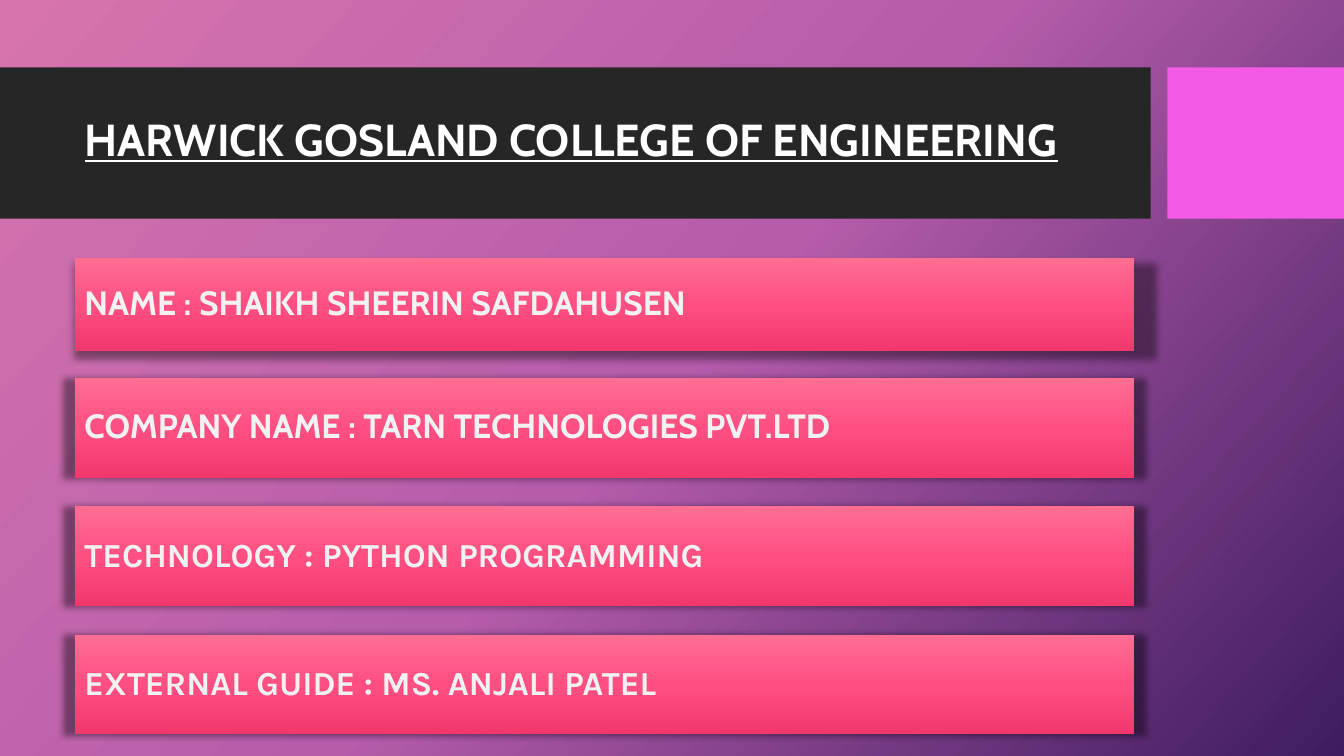
from copy import deepcopy

from lxml import etree
from pptx import Presentation
from pptx.dml.color import RGBColor
from pptx.enum.shapes import MSO_SHAPE
from pptx.enum.text import MSO_ANCHOR, MSO_AUTO_SIZE, PP_ALIGN
from pptx.oxml.ns import qn
from pptx.util import Cm, Pt

RECTANGLE = MSO_SHAPE.RECTANGLE
MIDDLE = MSO_ANCHOR.MIDDLE
NO_AUTOFIT = MSO_AUTO_SIZE.NONE
LEFT, JUSTIFY = PP_ALIGN.LEFT, PP_ALIGN.JUSTIFY

WHITE = RGBColor(0xFF, 0xFF, 0xFF)
OFF_WHITE = RGBColor(0xF2, 0xF2, 0xF2)
CHARCOAL = RGBColor(0x26, 0x26, 0x26)
MAGENTA = RGBColor(0xF3, 0x5A, 0xE6)
BACKGROUND = (RGBColor(0xD7, 0x74, 0xAD), RGBColor(0xB5, 0x5C, 0xAB),
              RGBColor(0x3E, 0x1C, 0x5F))
BAR = (RGBColor(0xFE, 0x6E, 0x93), RGBColor(0xFF, 0x4F, 0x82),
       RGBColor(0xF1, 0x38, 0x6D))

DETAILS = (
    ("NAME : SHAIKH SHEERIN SAFDAHUSEN", "Cabin"),
    ("COMPANY NAME : TARN TECHNOLOGIES PVT.LTD", "Cabin"),
    ("TECHNOLOGY : PYTHON PROGRAMMING", "Karla"),
    ("EXTERNAL GUIDE : MS. ANJALI PATEL", "Karla"),
)


def fill_gradient(fill, element, colors, angle):
    """Fill with three evenly spaced colours at a clockwise angle."""
    fill.gradient()
    fill.gradient_angle = 360 - angle
    stop_list = element.find(".//" + qn("a:gsLst"))
    stop_list.append(deepcopy(stop_list[-1]))
    for index, (stop, color) in enumerate(zip(fill.gradient_stops, colors)):
        stop.position = index / 2
        stop.color.rgb = color


def add_shadow(shape, anchor, drop):
    """Give the shape a soft black shadow slightly wider than itself."""
    shape.shadow.inherit = False
    effects = shape.element.spPr.find(qn("a:effectLst"))
    shadow = etree.SubElement(
        effects, qn("a:outerShdw"), blurRad=str(Pt(5)), dist=str(drop),
        dir="5400000", sx="102000", sy="102000", algn=anchor, rotWithShape="0")
    color = etree.SubElement(shadow, qn("a:srgbClr"), val="000000")
    etree.SubElement(color, qn("a:alpha"), val="40000")


def write_line(shape, text, font_name, size, color, alignment):
    """Write one bold, vertically centred line and return its span."""
    frame = shape.text_frame
    frame.text = text
    frame.word_wrap = True
    frame.auto_size = NO_AUTOFIT
    frame.vertical_anchor = MIDDLE
    para = frame.paragraphs[0]
    para.alignment = alignment
    para.line_spacing = 0.9
    span = para.runs[0]
    span.font.name = font_name
    span.font.size = size
    span.font.bold = True
    span.font.color.rgb = color
    return span


def add_header(page, left, top, width, height):
    """Place the dark title band and its accent block across the page."""
    title = page.shapes.title
    gap, accent_width = Cm(0.42), Cm(4.45)
    band_width = width - gap - accent_width
    blocks = ((left, band_width, CHARCOAL),
              (left + band_width + gap, accent_width, MAGENTA))
    for block_left, block_width, color in blocks:
        block = page.shapes.add_shape(RECTANGLE, block_left, top, block_width, height)
        block.shadow.inherit = False
        block.fill.solid()
        block.fill.fore_color.rgb = color
        block.line.fill.background()
        title.element.addprevious(block.element)
    title.left, title.top = left + Cm(1.88), top + Cm(0.38)
    title.width, title.height = Cm(26.7), Cm(3)
    span = write_line(title, "HARWICK GOSLAND COLLEGE OF ENGINEERING",
                      "Cabin", Pt(32), WHITE, LEFT)
    span.font.underline = True


def add_bar(page, left, top, width, height, text, font_name):
    """Place one gradient bar holding a line of detail."""
    bar = page.shapes.add_shape(RECTANGLE, left, top, width, height)
    fill_gradient(bar.fill, bar.element, BAR, 90)
    bar.line.fill.background()
    write_line(bar, text, font_name, Pt(24), OFF_WHITE, JUSTIFY)
    bar.text_frame.paragraphs[0].space_before = Pt(10)
    return bar


def add_details(page, left, top, width):
    """Stack the name bar and the taller bars that follow it."""
    name, *others = DETAILS
    name_bar = add_bar(page, left, top, width, Cm(2.34), *name)
    add_shadow(name_bar, "tl", Pt(4))
    for index, detail in enumerate(others):
        bar_top = top + Cm(3.03) + index * Cm(3.23)
        bar = add_bar(page, left, bar_top, width, Cm(2.51), *detail)
        add_shadow(bar, "ctr", 0)


def main():
    """Build the one-page deck and save it."""
    deck = Presentation()
    deck.slide_width, deck.slide_height = Cm(33.87), Cm(19.05)
    page = deck.slides.add_slide(deck.slide_layouts[5])
    fill_gradient(page.background.fill, page.element, BACKGROUND, 42)
    add_header(page, 0, Cm(1.7), deck.slide_width, Cm(3.81))
    add_details(page, Cm(1.88), Cm(6.5), Cm(26.7))
    deck.save("out.pptx")


if __name__ == "__main__":
    main()
